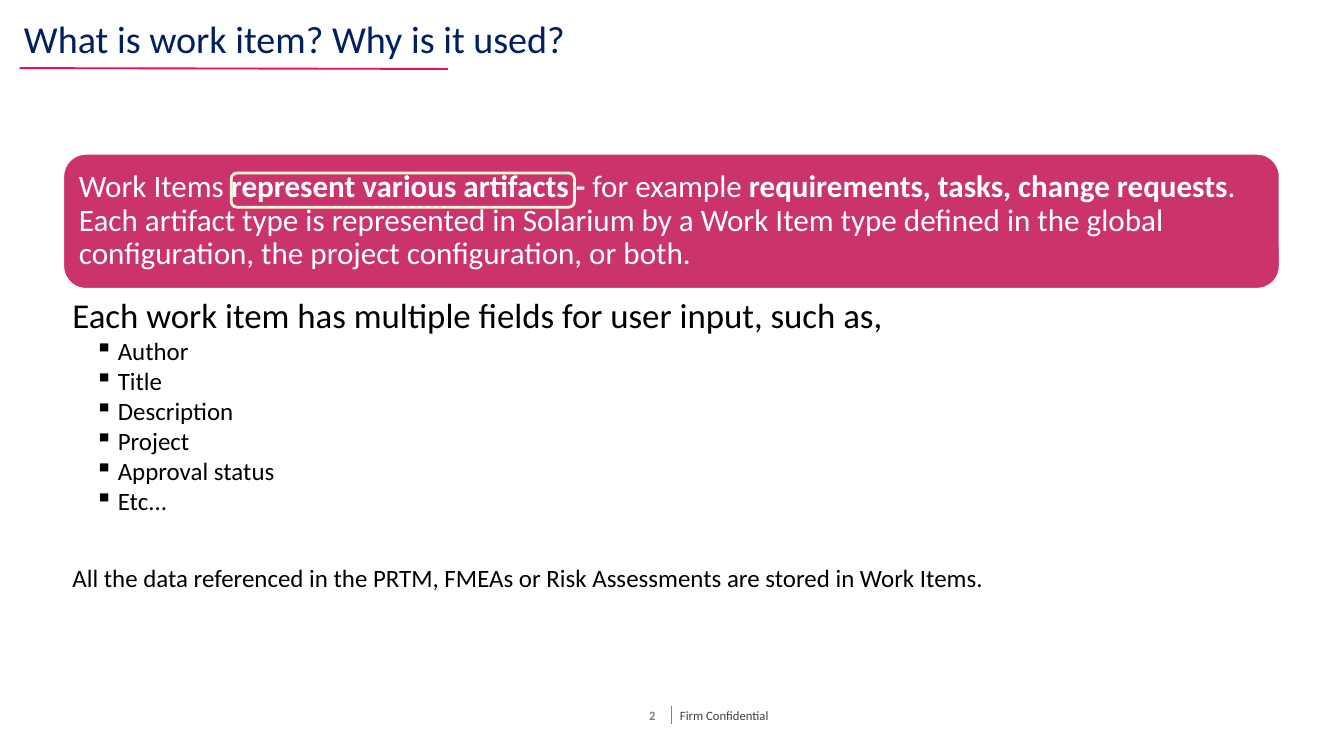
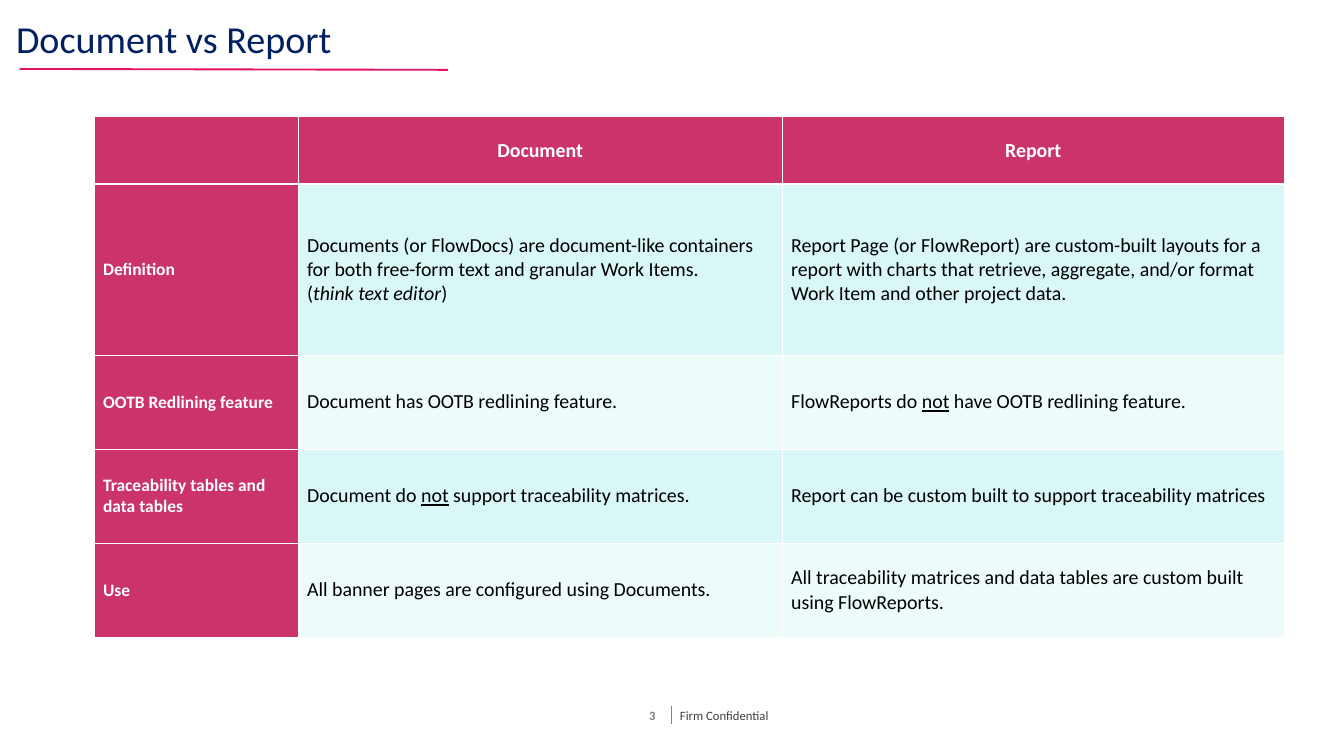
from lxml import etree
from pptx import Presentation
from pptx.dml.color import RGBColor
from pptx.enum import shapes, text
from pptx.oxml import parse_xml
from pptx.oxml.ns import qn
from pptx.util import Pt

# Shared look
FONT = "Calibri"
NAVY, PINK, ROSE, WHITE, BLACK = "002060", "E41165", "CB336B", "FFFFFF", "000000"
CREAM, RULE_GREY, NUMBER_GREY, FOOTER_GREY = "FFFBD6", "808285", "808080", "404040"
BANDS = ("D9F7F6", "EDFBFA")
FOOTER = "Firm Confidential"
MIDDLE, CENTER = text.MSO_ANCHOR.MIDDLE, text.PP_ALIGN.CENTER

# Content: a paragraph is a list of (words, style) runs; b, i, u are styles
WORK_ITEM_TITLE = "What is work item? Why is it used?"
CALLOUT = [
    ("Work Items\u00a0", ""),
    ("represent various artifacts - ", "b"),
    ("for example ", ""),
    ("requirements, tasks, change requests", "b"),
    (". Each artifact type is represented in Solarium by a Work Item type defined "
     "in the global configuration, the project configuration, or both.", ""),
]
FIELDS_INTRO = "Each work item has multiple fields for user input, such as,"
FIELDS = ["Author", "Title", "Description", "Project", "Approval status", "Etc..."]
CLOSING = ("All the data referenced in the PRTM, FMEAs or Risk Assessments "
           "are stored in Work Items.")

COMPARISON_TITLE = "Document vs Report"
HEADINGS = ["", "Document", "Report"]
COMPARISON = [
    ("Definition",
     [[("Documents (or FlowDocs) are document-like containers for both free-form "
        "text and granular Work Items.", "")],
      [("(", ""), ("think text editor", "i"), (")", "")]],
     [[("Report Page (or FlowReport) are custom-built layouts for a report with charts "
        "that retrieve, aggregate, and/or format Work Item and other project data.", "")]]),
    ("OOTB Redlining feature",
     [[("Document has OOTB redlining feature.", "")]],
     [[("FlowReports do ", ""), ("not", "u"), (" have OOTB redlining feature.", "")]]),
    ("Traceability tables and data tables",
     [[("Document do ", ""), ("not", "u"), (" support traceability matrices.", "")]],
     [[("Report can be custom built to support traceability matrices", "")]]),
    ("Use",
     [[("All banner pages are configured using Documents.", "")]],
     [[("All traceability matrices and data tables are custom built "
        "using FlowReports.", "")]]),
]
COLUMN_WIDTHS = [164, 389, 403.5]
ROW_HEIGHTS = [54, 137.5, 75.5, 75.5, 75.5]


def color(value):
    return RGBColor.from_string(value)


def write(para, runs, size, tint, bold=False):
    """Fill a paragraph from plain words or from (words, style) runs."""
    for words, style in [(runs, "")] if isinstance(runs, str) else runs:
        span = para.add_run()
        span.text = words
        font = span.font
        font.name, font.size, font.color.rgb = FONT, Pt(size), color(tint)
        font.bold = bold or "b" in style
        font.italic = "i" in style
        font.underline = "u" in style


def add_text(page, left, top, width, height, runs, size, tint, bold=False):
    box = page.shapes.add_textbox(Pt(left), Pt(top), Pt(width), Pt(height))
    box.text_frame.word_wrap = True
    write(box.text_frame.paragraphs[0], runs, size, tint, bold)
    return box.text_frame


def add_line(page, start, end, tint, weight):
    line = page.shapes.add_connector(shapes.MSO_CONNECTOR.STRAIGHT,
                                     *(Pt(value) for value in start + end))
    line.line.color.rgb, line.line.width = color(tint), Pt(weight)
    etree.SubElement(line._element.spPr, qn("a:effectLst"))


def add_rounded(page, left, top, width, height, fill, outline, weight):
    box = page.shapes.add_shape(shapes.MSO_SHAPE.ROUNDED_RECTANGLE,
                                Pt(left), Pt(top), Pt(width), Pt(height))
    box.shadow.inherit = False
    if fill:
        box.fill.solid()
        box.fill.fore_color.rgb = color(fill)
    else:
        box.fill.background()
    box.line.color.rgb, box.line.width = color(outline), Pt(weight)
    return box


def add_bullet(para):
    properties = para._p.get_or_add_pPr()
    properties.set("marL", str(Pt(36.5)))
    properties.set("indent", str(-Pt(18.5)))
    etree.SubElement(properties, qn("a:buChar")).set("char", "▪")


def add_page(deck, number, title, title_left, rule_top):
    page = deck.slides.add_slide(deck.slide_layouts[6])
    # Footer
    add_line(page, (539.3, 567.4), (539.3, 581.8), RULE_GREY, 0.5)
    frame = add_text(page, 507.6, 567.4, 35.3, 14.4, f"{number} ", 10.2, NUMBER_GREY, True)
    frame.margin_left = frame.margin_right = Pt(7.9)
    frame.vertical_anchor = MIDDLE
    frame.paragraphs[0].alignment = CENTER
    frame = add_text(page, 541.4, 567.4, 221.8, 14.4, FOOTER, 10.2, FOOTER_GREY)
    frame.margin_left = Pt(5)
    frame.vertical_anchor = MIDDLE
    # Title and its rule
    frame = add_text(page, title_left, 13, 920, 60, title, 30.6, NAVY)
    frame.paragraphs[0].line_spacing = 0.9
    add_line(page, (15.8, rule_top), (360, rule_top + 0.7), PINK, 1.5)
    return page


def fill_cell(cell, fill):
    properties = cell._tc.get_or_add_tcPr()
    for side in "LRTB":
        properties.append(parse_xml(
            f'<a:ln{side} xmlns:a="http://schemas.openxmlformats.org/drawingml/2006/main" '
            f'w="{Pt(1)}"><a:solidFill><a:srgbClr val="{WHITE}"/></a:solidFill></a:ln{side}>'))
    cell.fill.solid()
    cell.fill.fore_color.rgb = color(fill)
    cell.vertical_anchor = MIDDLE


def build_work_items(deck):
    page = add_page(deck, 2, WORK_ITEM_TITLE, 12.2, 54.7)
    # Callout with one highlighted phrase
    callout = add_rounded(page, 51.1, 123.8, 977, 108, ROSE, WHITE, 1)
    frame = callout.text_frame
    frame.word_wrap = True
    frame.vertical_anchor = MIDDLE
    para = frame.paragraphs[0]
    para.alignment, para.line_spacing = text.PP_ALIGN.LEFT, 0.9
    write(para, CALLOUT, 25, WHITE)
    # Field list
    frame = add_text(page, 51.1, 232.6, 986.4, 186.5, FIELDS_INTRO, 28, BLACK)
    for field in FIELDS:
        para = frame.add_paragraph()
        add_bullet(para)
        write(para, field, 20, BLACK)
    add_rounded(page, 185.8, 139, 275.8, 27.4, None, CREAM, 2.25)
    add_text(page, 51.1, 448.6, 838, 31.7, CLOSING, 20, BLACK)


def build_comparison(deck):
    page = add_page(deck, 3, COMPARISON_TITLE, 5.8, 55.4)
    table = page.shapes.add_table(
        len(ROW_HEIGHTS), len(COLUMN_WIDTHS), Pt(75.6), Pt(93.8),
        Pt(sum(COLUMN_WIDTHS)), Pt(sum(ROW_HEIGHTS))).table
    for column, width in zip(table.columns, COLUMN_WIDTHS):
        column.width = Pt(width)
    for row, height in zip(table.rows, ROW_HEIGHTS):
        row.height = Pt(height)
    # Heading row
    for index, heading in enumerate(HEADINGS):
        cell = table.cell(0, index)
        fill_cell(cell, ROSE)
        if heading:
            para = cell.text_frame.paragraphs[0]
            para.alignment = CENTER
            write(para, heading, 16, WHITE, True)
    # Topic rows in alternating bands
    for row, (topic, *answers) in enumerate(COMPARISON, 1):
        cell = table.cell(row, 0)
        fill_cell(cell, ROSE)
        write(cell.text_frame.paragraphs[0], topic, 14, WHITE, True)
        for column, answer in enumerate(answers, 1):
            cell = table.cell(row, column)
            fill_cell(cell, BANDS[(row - 1) % 2])
            frame = cell.text_frame
            for index, runs in enumerate(answer):
                para = frame.add_paragraph() if index else frame.paragraphs[0]
                write(para, runs, 16, BLACK)


def main():
    deck = Presentation()
    deck.slide_width, deck.slide_height = Pt(1080), Pt(590.4)
    build_work_items(deck)
    build_comparison(deck)
    deck.save("out.pptx")


if __name__ == "__main__":
    main()
